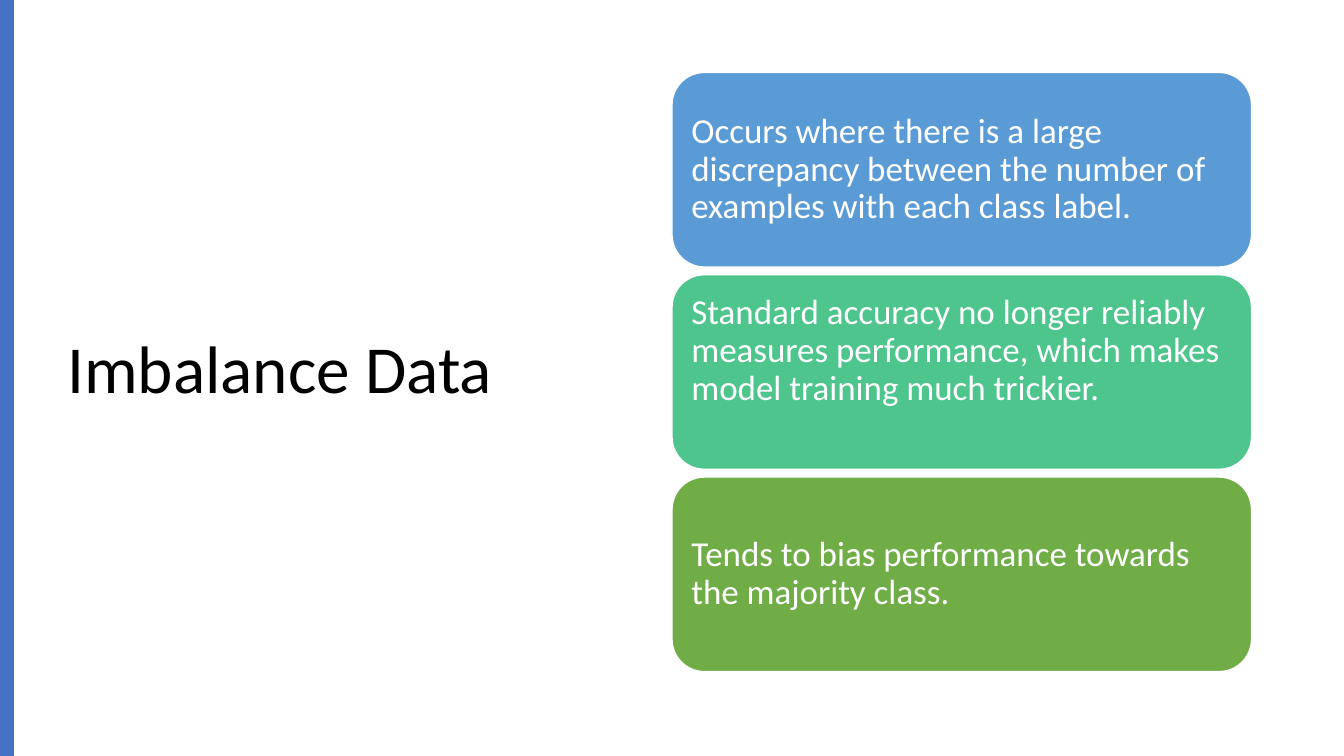
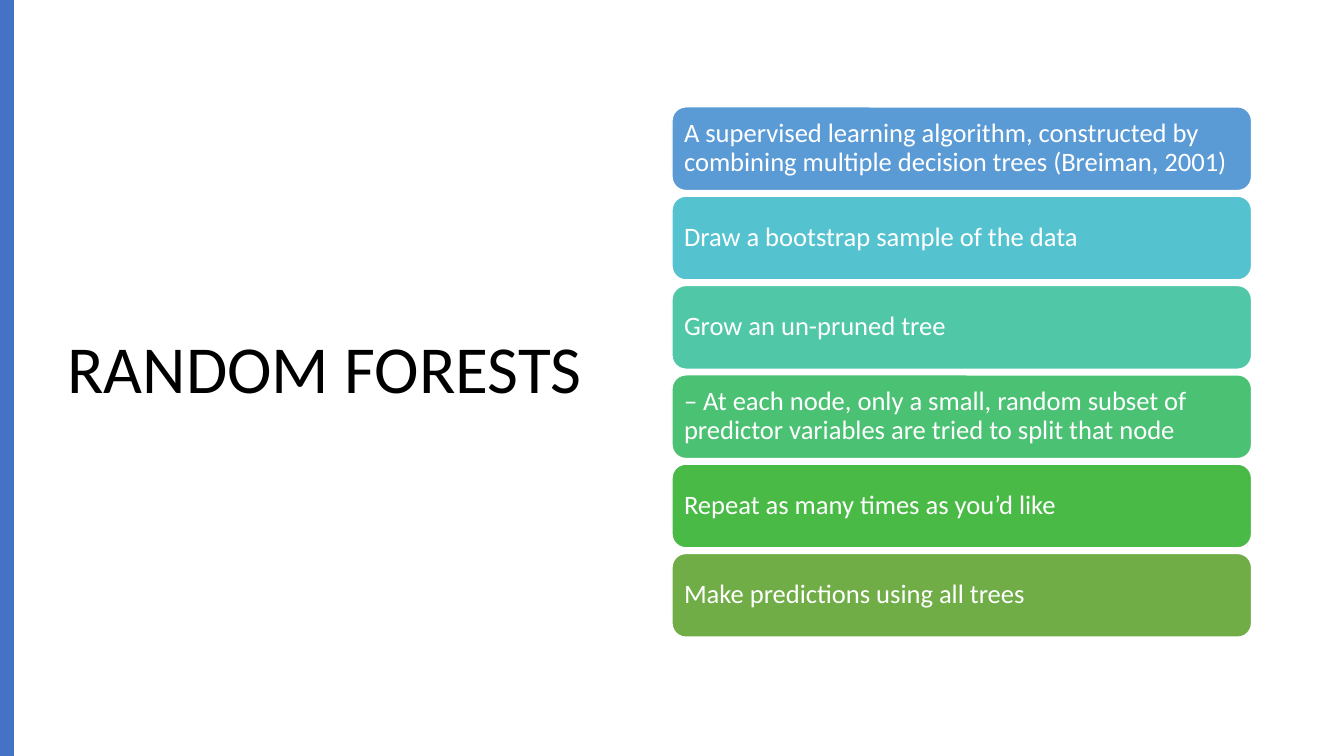
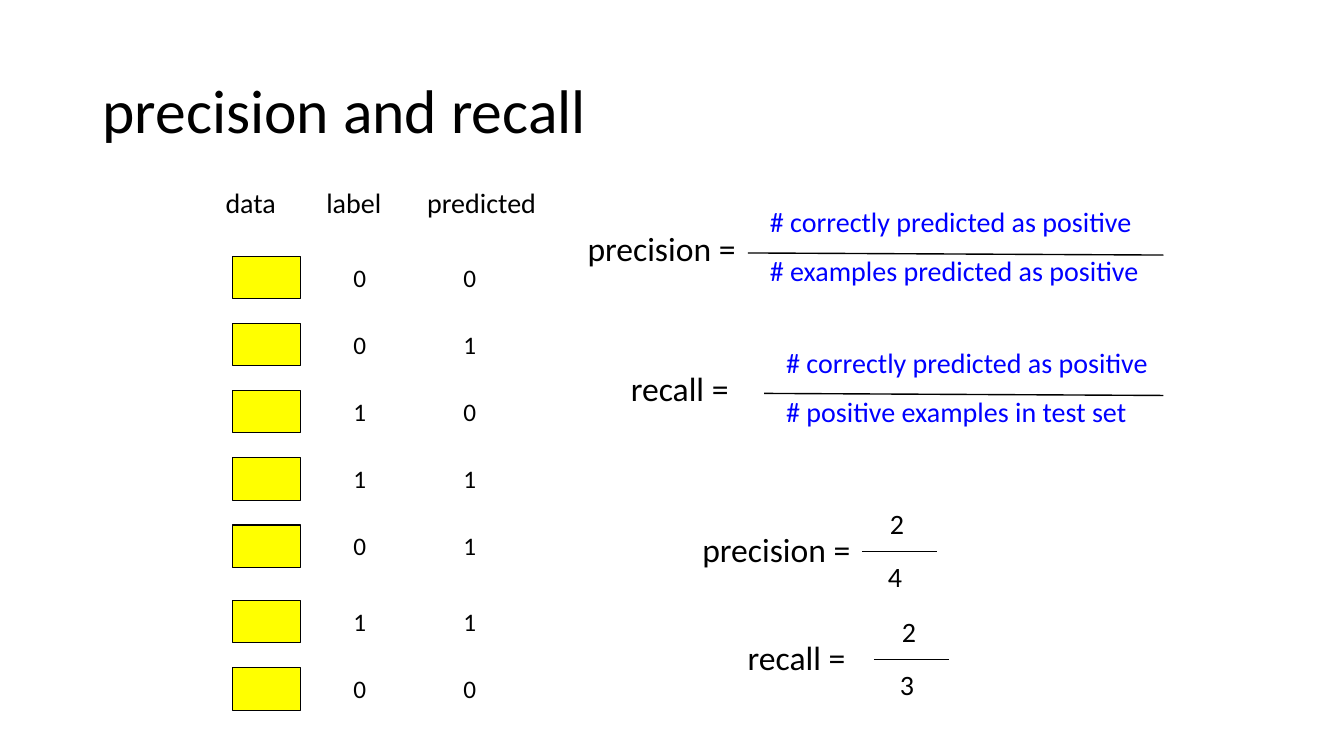
from dataclasses import dataclass

from lxml import etree
from pptx import Presentation
from pptx.dml.color import RGBColor
from pptx.enum.shapes import MSO_CONNECTOR as CONN, MSO_SHAPE as SHAPE
from pptx.enum.text import MSO_ANCHOR as ANCHOR, MSO_AUTO_SIZE as FIT, PP_ALIGN as ALIGN
from pptx.oxml.ns import qn
from pptx.util import Pt


@dataclass(frozen=True)
class Theme:
    font: str = "Calibri"
    ink: str = "000000"
    paper: str = "FFFFFF"
    accent: str = "4472C4"
    marker: str = "FFFF00"
    formula: str = "0000FF"
    split_title: float = 48
    title: float = 44
    name: float = 24
    term: float = 20
    value: float = 18
    spacing: float = 0.9


@dataclass(frozen=True)
class FractionStyle:
    color: str
    name_dy: float
    num_dy: float
    den_dy: float
    num_dx: float
    den_dx: float
    slope: float


T = Theme()
WIDTH, HEIGHT = 960, 540
STACK_MIDDLE = 265.75
FORMULA = FractionStyle(T.formula, -21.5, -38, -3, 8.7, 8.7, 1.5)
RESULT = FractionStyle(T.ink, -19.5, -35.3, 2, 13, 11.5, 0)
NAME_WIDTHS = {"precision =": 126.7, "recall =": 90.7}


def rgb(color):
    return RGBColor.from_string(color)


def put_text(tf, text, size, color=T.ink, align=ALIGN.LEFT, anchor=ANCHOR.TOP,
             wrap=True, fit=FIT.NONE, spacing=None):
    tf.auto_size = fit
    tf.word_wrap = wrap
    tf.vertical_anchor = anchor
    p = tf.paragraphs[0]
    p.alignment = align
    if spacing:
        p.line_spacing = spacing
    r = p.add_run()
    r.text = text
    r.font.name = T.font
    r.font.size = Pt(size)
    r.font.color.rgb = rgb(color)


def add_title_slide(prs, text, x, y, w, h, size):
    s = prs.slides.add_slide(prs.slide_layouts[5])
    sp = s.shapes.title
    sp.left, sp.top, sp.width, sp.height = Pt(x), Pt(y), Pt(w), Pt(h)
    put_text(sp.text_frame, text, size, anchor=ANCHOR.MIDDLE, spacing=T.spacing)
    return s


def add_box(s, kind, x, y, w, h, fill, line=None, weight=1):
    sp = s.shapes.add_shape(kind, Pt(x), Pt(y), Pt(w), Pt(h))
    sp.shadow.inherit = False
    sp.fill.solid()
    sp.fill.fore_color.rgb = rgb(fill)
    if line:
        sp.line.color.rgb = rgb(line)
        sp.line.width = Pt(weight)
    else:
        sp.line.fill.background()
    return sp


def add_label(s, text, x, y, w, h, size, **fmt):
    sp = s.shapes.add_textbox(Pt(x), Pt(y), Pt(w), Pt(h))
    put_text(sp.text_frame, text, size, wrap=False, fit=FIT.SHAPE_TO_FIT_TEXT, **fmt)


def add_line(s, x1, y1, x2, y2):
    c = s.shapes.add_connector(CONN.STRAIGHT, Pt(x1), Pt(y1), Pt(x2), Pt(y2))
    c.line.color.rgb = rgb(T.ink)
    c.line.width = Pt(1)
    etree.SubElement(c._element.spPr, qn("a:effectLst"))


def add_card_slide(prs, title, cards, height, gap, size, inset):
    s = add_title_slide(prs, title, 41, 49, 408, 433.5, T.split_title)
    add_box(s, SHAPE.RECTANGLE, 0, 0, 10, HEIGHT, T.accent)
    top = STACK_MIDDLE - (len(cards) * (height + gap) - gap) / 2
    for i, (text, fill, lift) in enumerate(cards):
        sp = add_box(s, SHAPE.ROUNDED_RECTANGLE, 480, top + i * (height + gap),
                     414, height, fill, T.paper)
        tf = sp.text_frame
        tf.margin_left = tf.margin_right = tf.margin_top = Pt(inset)
        tf.margin_bottom = Pt(inset + lift)
        put_text(tf, text, size, T.paper, anchor=ANCHOR.MIDDLE, spacing=T.spacing)


def add_fraction(s, style, name, name_x, x1, x2, y, num, num_w, den, den_w):
    add_label(s, name, name_x, y + style.name_dy, NAME_WIDTHS[name], 36, T.name)
    add_label(s, num, x1 + style.num_dx, y + style.num_dy, num_w, 31.5, T.term,
              color=style.color)
    add_line(s, x1, y, x2, y + style.slope)
    add_label(s, den, x1 + style.den_dx, y + style.den_dy, den_w, 31.5, T.term,
              color=style.color)


def add_predictions(s, rows):
    for text, x, w in (("data", 154, 51), ("label", 226, 55.5), ("predicted", 298, 93)):
        add_label(s, text, x, 129, w, 31.5, T.term)
    for i, row in enumerate(rows):
        y = 183 + 48 * i + (6 if i >= 5 else 0)
        add_box(s, SHAPE.RECTANGLE, 166.3, y, 48.2, 30.2, T.marker, T.ink, 0.75)
        for value, x in zip(row, (244.8, 323.3)):
            add_label(s, value, x, y + 0.5, 24.5, 29, T.value, align=ALIGN.CENTER)


def add_precision_slide(prs):
    s = add_title_slide(prs, "precision and recall", 66, 28.8, 828, 104.4, T.title)
    add_predictions(s, ("00", "01", "10", "11", "01", "11", "00"))
    correct = "# correctly predicted as positive"
    add_fraction(s, FORMULA, "precision =", 412.6, 534.2, 831, 180.7,
                 correct, 276.5, "# examples predicted as positive", 283.7)
    add_fraction(s, FORMULA, "recall =", 443.5, 545.8, 831, 281,
                 correct, 276.5, "# positive examples in test set", 260)
    add_fraction(s, RESULT, "precision =", 494.6, 615.6, 669.6, 393.8, "2", 26, "4", 26)
    add_fraction(s, RESULT, "recall =", 527, 624.2, 678.2, 470.9, "2", 26, "3", 26)


def main():
    prs = Presentation()
    prs.slide_width, prs.slide_height = Pt(WIDTH), Pt(HEIGHT)
    add_card_slide(prs, "Imbalance Data", (
        ("Occurs where there is a large discrepancy between the number of "
         "examples with each class label.", "5B9BD5", 0),
        ("Standard accuracy no longer reliably measures performance, which makes "
         "model training much trickier.", "4DC58D", 30),
        ("Tends to bias performance towards the majority class.", "70AD47", 0),
    ), height=139, gap=5.5, size=25, inset=7.2)
    add_card_slide(prs, "RANDOM FORESTS", (
        ("A supervised learning algorithm, constructed by combining multiple "
         "decision trees (Breiman, 2001)", "5B9BD5", 0),
        ("Draw a bootstrap sample of the data", "55C3CF", 0),
        ("Grow an un-pruned tree", "50C8A7", 0),
        ("– At each node, only a small, random subset of predictor variables "
         "are tried to split that node", "4BC174", 0),
        ("Repeat as many times as you’d like", "4ABA46", 0),
        ("Make predictions using all trees", "70AD47", 0),
    ), height=59.8, gap=4, size=19, inset=5.7)
    add_precision_slide(prs)
    prs.save("out.pptx")


if __name__ == "__main__":
    main()
